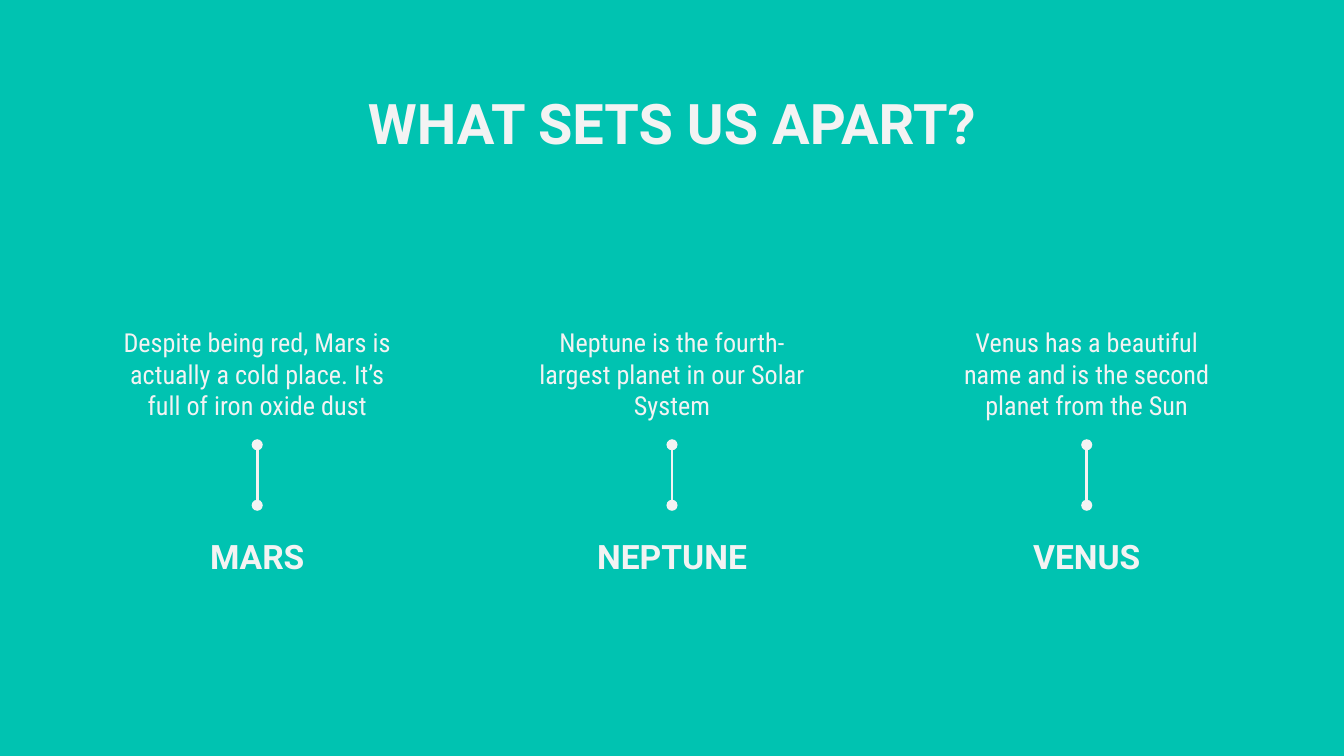
from lxml.etree import SubElement
from pptx import Presentation
from pptx.dml.color import RGBColor
from pptx.enum.shapes import MSO_CONNECTOR as Connector
from pptx.enum.text import MSO_ANCHOR as Anchor, PP_ALIGN as Align
from pptx.oxml.ns import qn
from pptx.util import Pt

TEAL = "00C3B1"
PALE = "F3F3F3"
SLIDE_WIDTH, SLIDE_HEIGHT = 720, 405
COLUMN_PITCH = 222.2

PLANETS = [
    ("MARS", "Despite being red, Mars is actually a cold place. It’s full of iron oxide dust"),
    ("NEPTUNE", "Neptune is the fourth-largest planet in our Solar System"),
    ("VENUS", "Venus has a beautiful name and is the second planet from the Sun"),
]


def color(hex_value):
    return RGBColor.from_string(hex_value)


def add_text(slide, text, center, top, width, height, size, font,
             bold=False, anchor=Anchor.MIDDLE, inset=7.2):
    """Add a centred text box around a vertical axis."""
    box = slide.shapes.add_textbox(Pt(center - width / 2), Pt(top), Pt(width), Pt(height))
    frame = box.text_frame
    frame.word_wrap = True
    frame.vertical_anchor = anchor
    frame.margin_left = frame.margin_right = Pt(inset)
    frame.margin_top = frame.margin_bottom = Pt(inset)
    frame.text = text
    paragraph = frame.paragraphs[0]
    paragraph.alignment = Align.CENTER
    run_font = paragraph.runs[0].font
    run_font.name = font
    run_font.size = Pt(size)
    run_font.bold = bold
    run_font.color.rgb = color(PALE)
    return box


def add_link(slide, upper, lower):
    """Join two boxes with a line that has a dot at each end."""
    link = slide.shapes.add_connector(Connector.STRAIGHT, 0, 0, 0, 0)
    link.begin_connect(upper, 2)
    link.end_connect(lower, 0)
    link.line.color.rgb = color(PALE)
    link.line.width = Pt(1.5)
    outline = link.line._get_or_add_ln()
    for end in ("a:headEnd", "a:tailEnd"):
        SubElement(outline, qn(end), type="oval")
    SubElement(link._element.spPr, qn("a:effectLst"))


def add_planet(slide, center, name, description):
    fact = add_text(slide, description, center, 162, 162, 76.3, 14, "Roboto Condensed")
    label = add_text(slide, name, center, 270.7, 121, 54, 18, "Roboto", bold=True, inset=0)
    add_link(slide, fact, label)


def main():
    deck = Presentation()
    deck.slide_width, deck.slide_height = Pt(SLIDE_WIDTH), Pt(SLIDE_HEIGHT)
    slide = deck.slides.add_slide(deck.slide_layouts[6])

    # Background
    fill = slide.background.fill
    fill.solid()
    fill.fore_color.rgb = color(TEAL)

    # Heading
    middle = SLIDE_WIDTH / 2
    add_text(slide, "WHAT SETS US APART?", middle, 40.3, 607, 45.4, 30, "Roboto",
             bold=True, anchor=Anchor.TOP)

    # Planet columns, spread evenly about the middle
    for column, (name, description) in enumerate(PLANETS):
        add_planet(slide, middle + (column - 1) * COLUMN_PITCH, name, description)

    deck.save("out.pptx")


if __name__ == "__main__":
    main()
